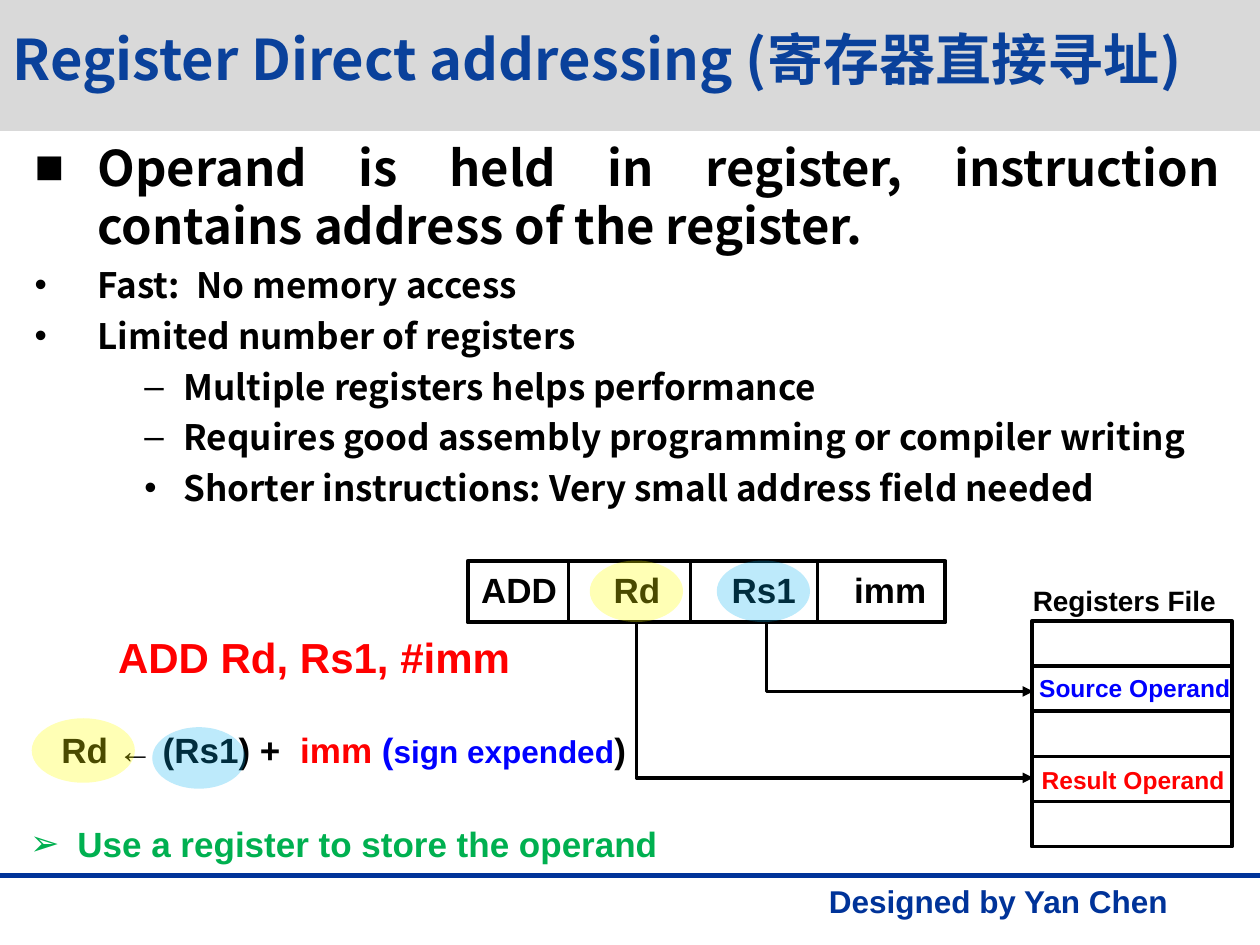
from lxml import etree
from pptx import Presentation
from pptx import util as u
from pptx.dml.color import RGBColor
from pptx.enum import shapes, text
from pptx.oxml.ns import qn

SANS, HEAVY = "Arial", "Noto Sans CJK SC"
BLACK, NAVY, RED, BLUE, GREEN = "000000", "003399", "FF0000", "0000FF", "00B050"
YELLOW, SKY = ("FFFF00", 29), ("00B0F0", 26)


def color(value):
    """Turn a hex string into a colour."""
    return RGBColor.from_string(value)


def cm(*values):
    """Turn numbers into centimetre lengths."""
    return [u.Cm(value) for value in values]


def style_line(line, value, width):
    """Set the colour and width of a line."""
    line.color.rgb = color(value)
    line.width = u.Pt(width)


def style_font(font, size, value, name=SANS):
    """Set a bold font with its size, colour and typeface."""
    font.bold = True
    font.size = u.Pt(size)
    font.color.rgb = color(value)
    font.name = name
    etree.SubElement(font._element, qn("a:ea"), typeface=name)


def set_bullet(paragraph, mark, value, left, hanging):
    """Give a paragraph a bullet and a hanging indent."""
    properties = paragraph._p.get_or_add_pPr()
    properties.set("marL", str(u.Cm(left)))
    properties.set("indent", str(-u.Cm(hanging)))
    fill = etree.SubElement(properties, qn("a:buClr"))
    etree.SubElement(fill, qn("a:srgbClr"), val=value)
    etree.SubElement(properties, qn("a:buFont"), typeface=SANS)
    etree.SubElement(properties, qn("a:buChar"), char=mark)


def add_shape(slide, kind, box, fill=None, opacity=100, line_width=None):
    """Add a preset shape with an optional fill and black outline."""
    shape = slide.shapes.add_shape(kind, *cm(*box))
    shape.shadow.inherit = False
    if fill:
        shape.fill.solid()
        shape.fill.fore_color.rgb = color(fill)
        if opacity < 100:
            target = shape.fill._xPr.find(".//" + qn("a:srgbClr"))
            etree.SubElement(target, qn("a:alpha"), val=str(opacity * 1000))
    else:
        shape.fill.background()
    if line_width:
        style_line(shape.line, BLACK, line_width)
    else:
        shape.line.fill.background()


def add_rule(slide, ends, value, width):
    """Add a straight line without a shadow."""
    rule = slide.shapes.add_connector(shapes.MSO_CONNECTOR.STRAIGHT, *cm(*ends))
    style_line(rule.line, value, width)
    etree.SubElement(rule._element.spPr, qn("a:effectLst"))


def add_elbow_arrow(slide, x, top, bottom, end):
    """Add an arrow that runs down and then right."""
    builder = slide.shapes.build_freeform(*cm(x, top), scale=1.0)
    builder.add_line_segments([cm(x, bottom), cm(end, bottom)], close=False)
    arrow = builder.convert_to_shape()
    arrow.shadow.inherit = False
    arrow.fill.background()
    style_line(arrow.line, BLACK, 2)
    etree.SubElement(arrow.line._get_or_add_ln(), qn("a:tailEnd"), type="triangle")


def add_text(slide, box, words="", size=20, value=BLACK, wrap=False, bullet=None):
    """Add a one-paragraph text box and return its paragraph."""
    frame = slide.shapes.add_textbox(*cm(*box)).text_frame
    frame.word_wrap = wrap
    frame.auto_size = text.MSO_AUTO_SIZE.SHAPE_TO_FIT_TEXT
    paragraph = frame.paragraphs[0]
    if words:
        paragraph.text = words
    if bullet:
        set_bullet(paragraph, bullet, value, 0.95, 0.95)
    style_font(paragraph.font, size, value)
    return paragraph


def add_title(slide):
    """Place and format the title above the header band."""
    title = slide.shapes.title
    title.left, title.top, title.width, title.height = cm(0, 0.32, 24.94, 1.7)
    frame = title.text_frame
    frame.text = "Register Direct addressing (寄存器直接寻址)"
    frame.auto_size = text.MSO_AUTO_SIZE.NONE
    frame.vertical_anchor = text.MSO_ANCHOR.MIDDLE
    paragraph = frame.paragraphs[0]
    paragraph.alignment = text.PP_ALIGN.LEFT
    style_font(paragraph.font, 32, "0A419B", HEAVY)
    slide.shapes._spTree.append(title._element)


def add_points(slide):
    """Add the bulleted explanation."""
    points = [
        ("■", 0, "Operand is held in register, instruction contains address of the register."),
        ("•", 0, "Fast:  No memory access"),
        ("•", 0, "Limited number of registers"),
        ("–", 1, "Multiple registers helps performance"),
        ("–", 1, "Requires good assembly programming or compiler writing"),
        ("•", 1, "Shorter instructions: Very small address field needed"),
    ]
    frame = slide.shapes.add_textbox(*cm(0.45, 2.64, 24.38, 7.75)).text_frame
    frame.word_wrap = True
    for index, (mark, level, words) in enumerate(points):
        paragraph = frame.add_paragraph() if index else frame.paragraphs[0]
        paragraph.text = words
        paragraph.level = level
        set_bullet(paragraph, mark, BLACK, *((3, 0.79) if level else (1.27, 1.27)))
        if index:
            paragraph.space_before = u.Pt(5)
        else:
            paragraph.alignment = text.PP_ALIGN.JUSTIFY
        style_font(paragraph.font, 20 if index else 28, BLACK, HEAVY)


def add_register_file(slide):
    """Add the stack of registers with its labels."""
    for row in range(5):
        box = (20.8, 12.52 + 0.91 * row, 4.04, 0.91)
        add_shape(slide, shapes.MSO_SHAPE.RECTANGLE, box, line_width=2)
    add_text(slide, (20.57, 11.63, 4.24, 0.91), "Registers File", 16, wrap=True)
    add_text(slide, (20.7, 13.44, 4.37, 0.84), "Source Operand", 14, BLUE)
    add_text(slide, (20.75, 15.29, 4.19, 0.84), "Result Operand", 14, RED)


def add_instruction(slide):
    """Add the instruction word and its fields."""
    top, height = 11.31, 1.24
    box = (9.43, top, 9.63, height)
    add_shape(slide, shapes.MSO_SHAPE.RECTANGLE, box, line_width=2.25)
    for x in (11.46, 13.92, 16.48):
        add_rule(slide, (x, top, x, top + height), BLACK, 2.25)
    fields = [("ADD", 9.45, 2.05), ("Rd", 12.12, 1.45), ("Rs1", 14.5, 1.8), ("imm", 16.97, 1.96)]
    for words, left, width in fields:
        add_text(slide, (left, 11.33, width, 1.09), words)


def add_transfer(slide):
    """Add the register transfer expression."""
    paragraph = add_text(slide, (0.99, 14.57, 12.62, 1.12), wrap=True)
    parts = [("Rd ← (Rs1) +  ", 20, BLACK), ("imm", 20, RED), (" (", 20, BLUE),
             ("sign expended", 18, BLUE), (")", 20, BLACK)]
    for words, size, value in parts:
        run = paragraph.add_run()
        run.text = words
        style_font(run.font, size, value)


def add_highlights(slide):
    """Tint the destination and source registers."""
    highlights = [((11.89, 11.3, 1.88, 1.24), YELLOW), ((14.45, 11.3, 1.88, 1.24), SKY),
                  ((0.64, 14.48, 2.08, 1.3), YELLOW), ((3.07, 14.66, 1.88, 1.24), SKY)]
    for box, tint in highlights:
        add_shape(slide, shapes.MSO_SHAPE.OVAL, box, *tint)


def main():
    """Build the slide and save it."""
    presentation = Presentation()
    presentation.slide_width, presentation.slide_height = cm(25.4, 19.05)
    slide = presentation.slides.add_slide(presentation.slide_layouts[5])
    add_shape(slide, shapes.MSO_SHAPE.RECTANGLE, (0, 0, 25.4, 2.64), "D9D9D9")
    add_text(slide, (16.46, 17.65, 7.67, 1.02), "Designed by Yan Chen", 18, NAVY, wrap=True)
    add_rule(slide, (0, 17.65, 25.4, 17.65), NAVY, 3)
    add_title(slide)
    add_points(slide)
    add_register_file(slide)
    add_instruction(slide)
    add_text(slide, (2.13, 12.6, 8.41, 1.27), "ADD Rd, Rs1, #imm", 24, RED)
    add_transfer(slide)
    add_highlights(slide)
    add_elbow_arrow(slide, 15.45, 12.57, 13.94, 20.83)
    add_elbow_arrow(slide, 12.83, 12.57, 15.68, 20.83)
    add_text(slide, (0.36, 16.45, 13.16, 1.12), "Use a register to store the operand",
             value=GREEN, bullet="➢")
    presentation.save("out.pptx")


if __name__ == "__main__":
    main()
